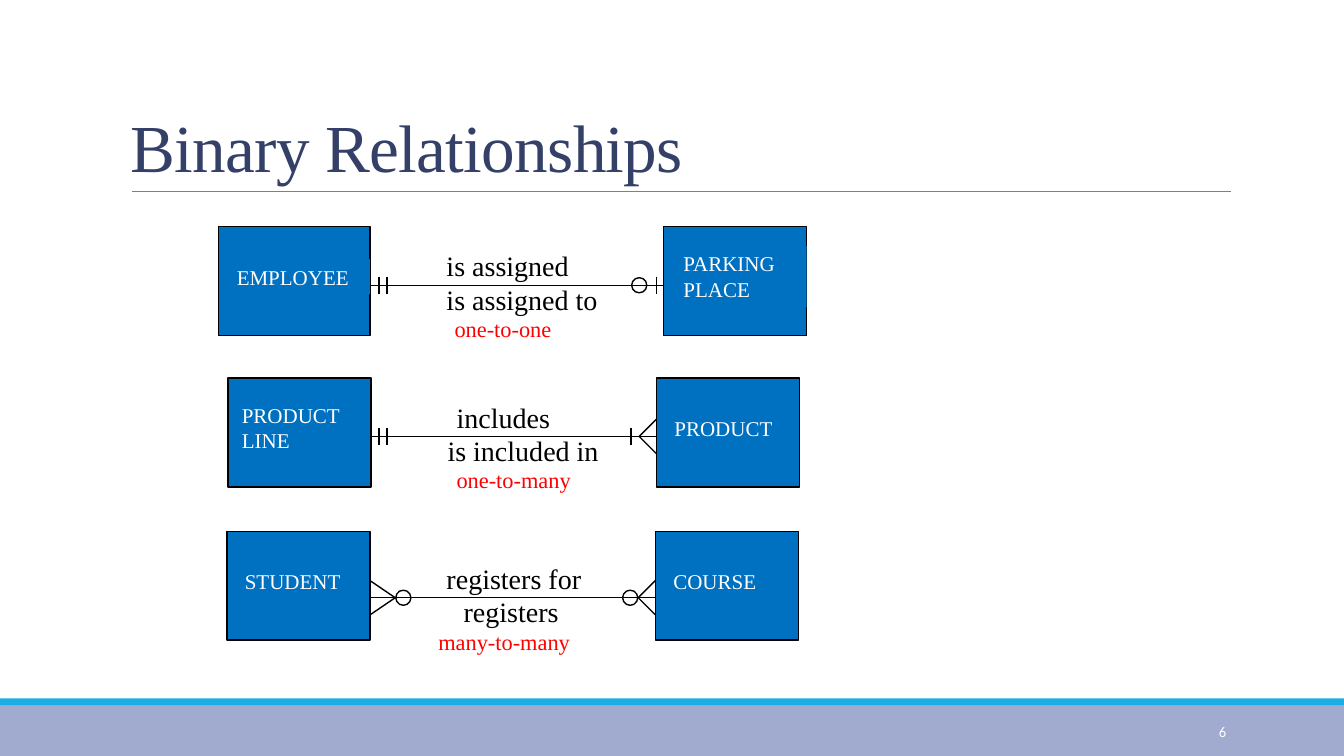
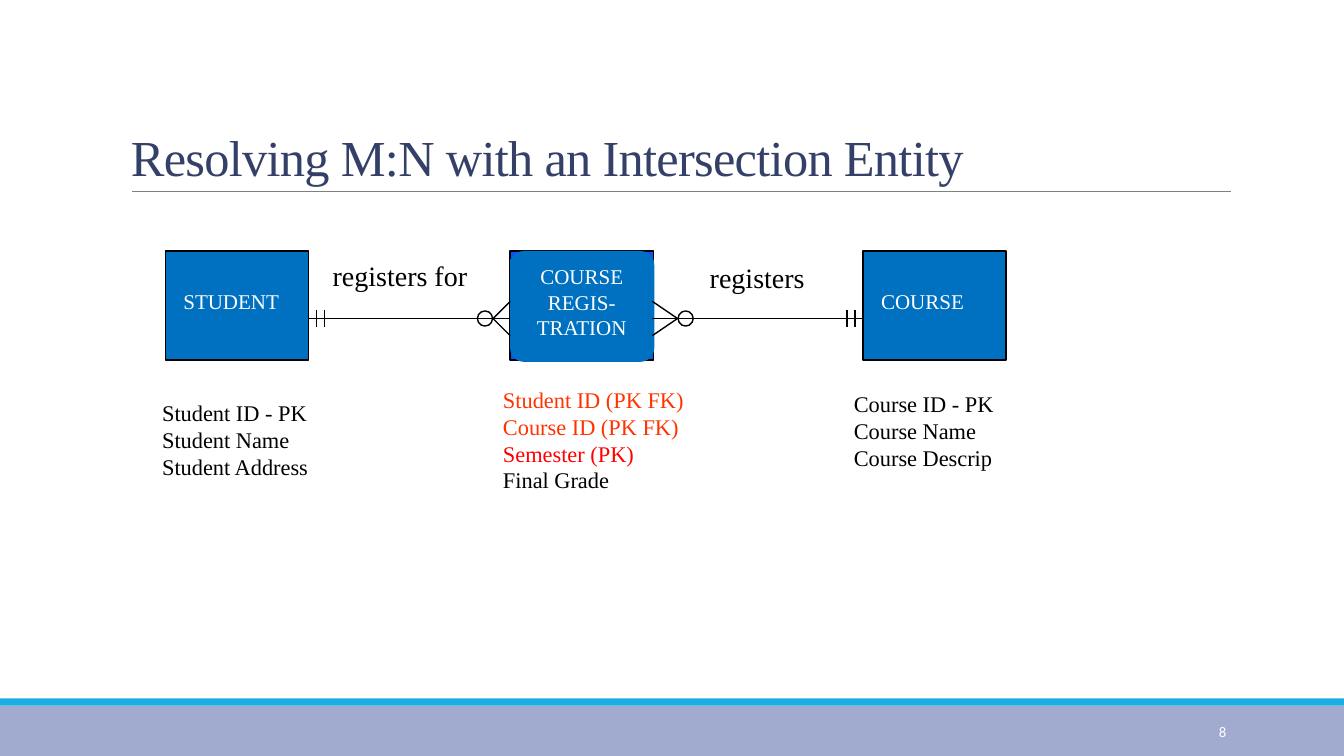
from dataclasses import dataclass
from itertools import cycle

from lxml.etree import SubElement
from pptx import Presentation
from pptx.dml.color import RGBColor
from pptx.enum.shapes import MSO_CONNECTOR, MSO_SHAPE
from pptx.enum.text import MSO_ANCHOR, PP_ALIGN
from pptx.oxml.ns import qn
from pptx.util import Inches, Pt

# Shared style
COLORS = {
    "band": "A1ABD0", "strip": "1CADE4", "rule": "808080", "title": "344068",
    "box": "0070C0", "under": "114FFB", "black": "000000", "white": "FFFFFF",
    "red": "FF0000", "orange": "FF3300",
}
SERIF, SANS = "Times New Roman", "Calibri"
HIGH = 1.08   # box height
TICK = 0.17   # bar height, and half the spread of a crow's foot
RING = 0.15

# Marks at a line end, with their distance from the box
ONE = (("bar", 0.08), ("bar", 0.16))
MAYBE = (("bar", 0.08), ("ring", 0.25))
MANY = (("crow", 0.17), ("bar", 0.25))
ANY = (("crow", 0.17), ("ring", 0.25))
WIDE = (("crow", 0.25), ("ring", 0.33))


@dataclass
class Box:
    left: float
    top: float
    wide: float = 1.42
    fill: str = "box"


@dataclass
class Name:
    text: str
    left: float
    top: float
    wide: float = 1.42
    high: float = 0.35
    fill: str | None = None
    align: PP_ALIGN = PP_ALIGN.LEFT


@dataclass
class Link:
    start: float
    end: float
    y: float
    first: tuple
    last: tuple


@dataclass
class Label:
    text: str
    left: float
    top: float
    wide: float
    high: float = 0.44
    size: float = 20
    color: str | tuple[str, ...] = "black"


def rgb(name: str) -> RGBColor:
    return RGBColor.from_string(COLORS[name])


def put_text(slide, text: str, left: float, top: float, wide: float, high: float, *,
             size: float, color: str | tuple[str, ...] = "black", font: str = SERIF,
             align=PP_ALIGN.LEFT, anchor=MSO_ANCHOR.TOP, wrap: bool = True,
             fill: str | None = None, space: float | None = None,
             track: int | None = None) -> None:
    item = slide.shapes.add_textbox(Inches(left), Inches(top), Inches(wide), Inches(high))
    if fill:
        item.fill.solid()
        item.fill.fore_color.rgb = rgb(fill)
    frame = item.text_frame
    frame.word_wrap, frame.vertical_anchor = wrap, anchor
    tints = cycle((color,) if isinstance(color, str) else color)
    for i, (line, tint) in enumerate(zip(text.split("\n"), tints)):
        para = frame.add_paragraph() if i else frame.paragraphs[0]
        para.alignment = align
        if space:
            para.line_spacing = space
        run = para.add_run()
        run.text = line
        run.font.name, run.font.size = font, Pt(size)
        run.font.color.rgb = rgb(tint)
        if track:
            run.font._element.set("spc", str(track))


def draw_shape(slide, kind, left: float, top: float, wide: float, high: float,
               fill: str | None = None, line: str | None = None):
    item = slide.shapes.add_shape(kind, Inches(left), Inches(top), Inches(wide), Inches(high))
    item.shadow.inherit = False
    if fill:
        item.fill.solid()
        item.fill.fore_color.rgb = rgb(fill)
    else:
        item.fill.background()
    if line:
        item.line.color.rgb, item.line.width = rgb(line), Pt(1)
    else:
        item.line.fill.background()
    return item


def draw_line(slide, x1: float, y1: float, x2: float, y2: float,
              color: str = "black", width: float = 1) -> None:
    item = slide.shapes.add_connector(MSO_CONNECTOR.STRAIGHT, Inches(x1), Inches(y1),
                                      Inches(x2), Inches(y2))
    item.line.color.rgb, item.line.width = rgb(color), Pt(width)
    SubElement(item._element.spPr, qn("a:effectLst"))


def draw_box(slide, box: Box) -> None:
    draw_shape(slide, MSO_SHAPE.RECTANGLE, box.left, box.top, box.wide, HIGH,
               box.fill, "black")


def draw_name(slide, name: Name) -> None:
    put_text(slide, name.text, name.left, name.top, name.wide, name.high,
             size=15, color="white", fill=name.fill, align=name.align)


def draw_end(slide, edge: float, y: float, side: int, marks: tuple) -> None:
    for kind, gap in marks:
        x = edge + side * gap
        if kind == "bar":
            draw_line(slide, x, y - TICK / 2, x, y + TICK / 2)
        elif kind == "ring":
            draw_shape(slide, MSO_SHAPE.OVAL, x - RING / 2, y - RING / 2,
                       RING, RING, line="black")
        else:
            for rise in (-TICK, TICK):
                draw_line(slide, x, y, edge, y + rise)


def draw_link(slide, link: Link) -> None:
    draw_line(slide, link.start, link.y, link.end, link.y)
    draw_end(slide, link.start, link.y, 1, link.first)
    draw_end(slide, link.end, link.y, -1, link.last)


def draw_label(slide, label: Label) -> None:
    put_text(slide, label.text, label.left, label.top, label.wide, label.high,
             size=label.size, color=label.color, wrap=False)


def add_page(deck, title: str, size: float, number: int):
    slide = deck.slides.add_slide(deck.slide_layouts[6])
    draw_shape(slide, MSO_SHAPE.RECTANGLE, 0, 7, 13.33, 0.5, "band")
    draw_shape(slide, MSO_SHAPE.RECTANGLE, 0, 6.93, 13.33, 0.07, "strip")
    draw_line(slide, 1.31, 1.9, 12.21, 1.9, "rule", 0.5)
    put_text(slide, title, 1.2, 0.31, 11, 1.59, size=size, color="title",
             anchor=MSO_ANCHOR.BOTTOM, space=0.85, track=-50)
    put_text(slide, str(number), 10.83, 7.06, 1.43, 0.4, size=10.5, color="white",
             font=SANS, align=PP_ALIGN.RIGHT, anchor=MSO_ANCHOR.MIDDLE)
    return slide


def draw_all(slide, draw, items) -> None:
    for item in items:
        draw(slide, item)


deck = Presentation()
deck.slide_width, deck.slide_height = Inches(13.33), Inches(7.5)

# Binary relationships
page = add_page(deck, "Binary Relationships", 48, 6)
draw_all(page, draw_box, [
    Box(2.17, 2.25, 1.5), Box(6.58, 2.25),
    Box(2.26, 3.75), Box(6.51, 3.75),
    Box(2.25, 5.27), Box(6.5, 5.27),
])
draw_all(page, draw_name, [
    Name("EMPLOYEE", 2.25, 2.57, fill="box"),
    Name("PARKING PLACE", 6.68, 2.44, 1.32, 0.61, "box"),
    Name("PRODUCT LINE", 2.3, 3.94, high=0.61),
    Name("PRODUCT", 6.59, 4.07),
    Name("STUDENT", 2.33, 5.59, 1.26, fill="box"),
    Name("COURSE", 6.58, 5.59),
])
draw_all(page, draw_link, [
    Link(3.68, 6.59, 2.83, ONE, MAYBE),
    Link(3.68, 6.51, 4.33, ONE, MANY),
    Link(3.67, 6.5, 5.93, WIDE, ANY),
])
draw_all(page, draw_label, [
    Label("is assigned", 4.33, 2.42, 1.42),
    Label("is assigned to", 4.33, 2.75, 1.71),
    Label("one-to-one", 4.41, 3.08, 1.18, 0.37, 16, "red"),
    Label("includes", 4.43, 3.92, 1.14),
    Label("is included in", 4.34, 4.25, 1.71),
    Label("one-to-many", 4.43, 4.58, 1.35, 0.37, 16, "red"),
    Label("registers for", 4.33, 5.52, 1.55),
    Label("registers", 4.5, 5.85, 1.15),
    Label("many-to-many", 4.25, 6.18, 1.53, 0.37, 16, "red"),
])

# Intersection entity
page = add_page(deck, "Resolving M:N with an Intersection Entity", 36, 8)
draw_all(page, draw_box, [Box(1.64, 2.49), Box(5.06, 2.49, fill="under"), Box(8.56, 2.49)])
cover = draw_shape(page, MSO_SHAPE.ROUNDED_RECTANGLE, 5.06, 2.49, 1.43, 1.1, "box")
cover.adjustments[0] = 0.125
draw_all(page, draw_name, [
    Name("STUDENT", 1.72, 2.81),
    Name("COURSE REGIS-TRATION", 5.06, 2.57, high=0.86, fill="box", align=PP_ALIGN.CENTER),
    Name("COURSE", 8.64, 2.81),
])
draw_all(page, draw_link, [
    Link(3.06, 5.06, 3.16, ONE, ANY),
    Link(6.47, 8.56, 3.16, WIDE, ONE),
])
draw_all(page, draw_label, [
    Label("registers for", 3.2, 2.52, 1.55),
    Label("registers", 6.94, 2.54, 1.15),
    Label("Student ID - PK\nStudent Name\nStudent Address", 1.51, 3.91, 1.67, 0.91, 16),
    Label("Student ID (PK FK)\nCourse ID (PK FK)\nSemester (PK)\nFinal Grade",
          4.89, 3.78, 2.02, 1.18, 16, ("orange", "orange", "red", "black")),
    Label("Course ID - PK\nCourse Name\nCourse Descrip", 8.37, 3.82, 1.61, 0.91, 16),
])

deck.save("out.pptx")
